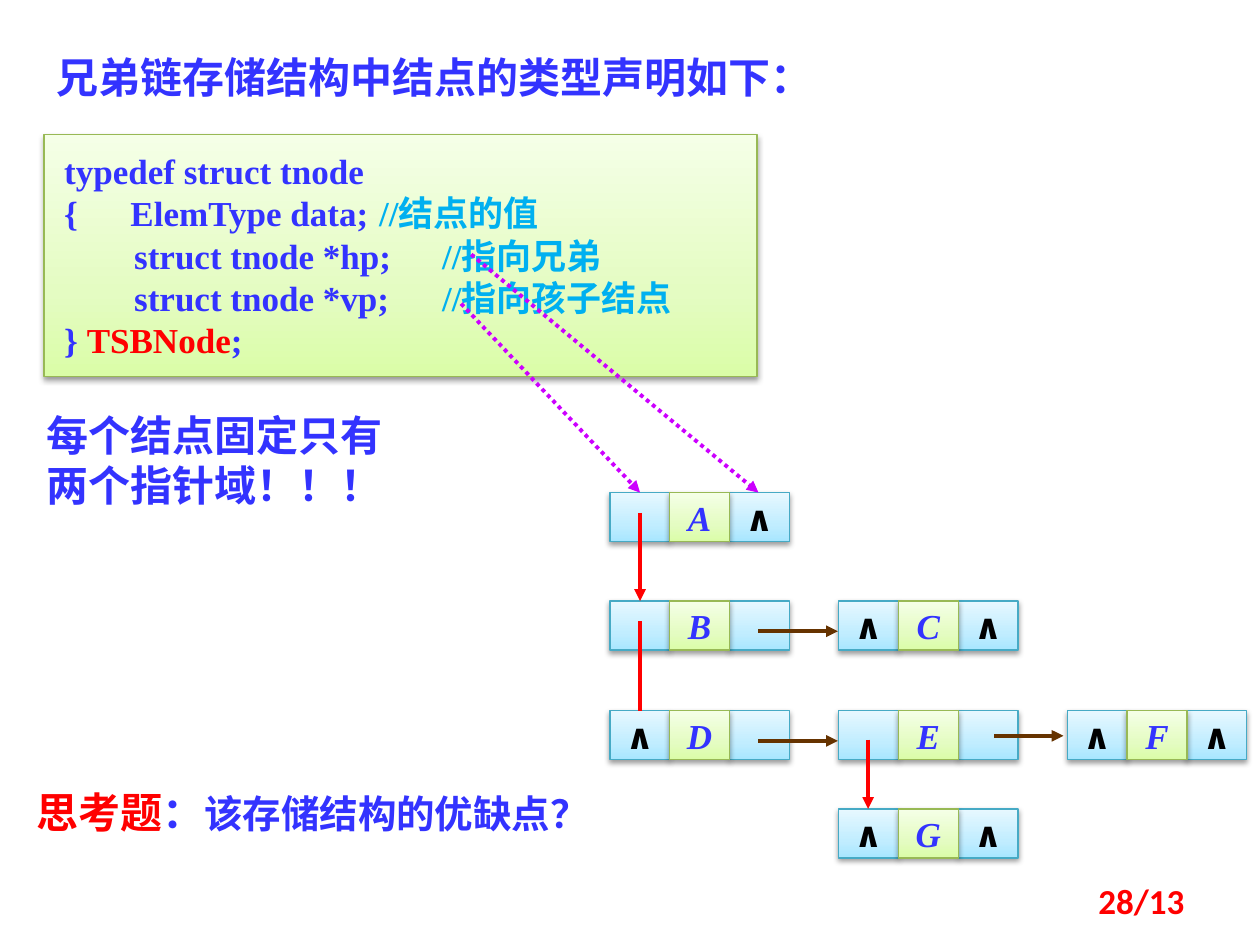
from lxml.etree import SubElement
from pptx import Presentation
from pptx.dml.color import RGBColor
from pptx.enum.dml import MSO_LINE
from pptx.enum.shapes import MSO_CONNECTOR, MSO_SHAPE
from pptx.enum.text import MSO_ANCHOR, MSO_AUTO_SIZE, PP_ALIGN
from pptx.oxml import parse_xml
from pptx.oxml.ns import nsdecls, qn
from pptx.util import Inches, Pt

SERIF, SANS, CJK = "Times New Roman", "Calibri", "Noto Sans CJK SC"
BLUE, RED, SKY, BLACK = "3333FF", "FF0000", "00B0F0", "000000"
BROWN, VIOLET = "663300", "CC00FF"
GREEN_STYLE = (("DAFDA7", "E4FCC2", "F5FFE7"), "98B955")
AQUA_STYLE = (("A7E6FF", "C1EDFF", "E7F8FF"), "46AAC5")
CELL_W, CELL_H = 0.475, 0.39
NIL = "∧"


def rgb(value):
    return RGBColor.from_string(value)


def add_run(p, text, color=BLUE, size=20, font=SERIF, italic=False):
    r = p.add_run()
    r.text = text
    r.font.name = font
    r.font.size = Pt(size)
    r.font.bold = True
    r.font.italic = italic
    r.font.color.rgb = rgb(color)
    if font != SANS:
        SubElement(r._r.get_or_add_rPr(), qn("a:ea"), typeface=CJK)


def set_frame(sp, anchor=MSO_ANCHOR.TOP, wrap=True):
    tf = sp.text_frame
    tf.auto_size = MSO_AUTO_SIZE.NONE
    tf.word_wrap = wrap
    tf.vertical_anchor = anchor
    return tf


def add_text(s, box, runs, align=PP_ALIGN.LEFT, anchor=MSO_ANCHOR.TOP):
    sp = s.shapes.add_textbox(*map(Inches, box))
    p = set_frame(sp, anchor).paragraphs[0]
    p.alignment = align
    for run in runs:
        add_run(p, *run)


def add_title(s, box, text):
    sp = s.shapes.title
    sp.left, sp.top, sp.width, sp.height = map(Inches, box)
    p = set_frame(sp).paragraphs[0]
    p.alignment = PP_ALIGN.LEFT
    add_run(p, text, BLUE, 24)


def add_box(s, box, style):
    """Add a rectangle with an upward three-stop gradient and a soft shadow."""
    colors, edge = style
    sp = s.shapes.add_shape(MSO_SHAPE.RECTANGLE, *map(Inches, box))
    sp.fill.gradient()
    sp.fill.gradient_angle = 90
    stops = sp._element.spPr.find(".//" + qn("a:gsLst"))
    stops.clear()
    for pos, color in zip((0, 35, 100), colors):
        gs = SubElement(stops, qn("a:gs"), pos=str(pos * 1000))
        SubElement(gs, qn("a:srgbClr"), val=color)
    sp.line.color.rgb = rgb(edge)
    sp.line.width = Pt(0.75)
    sp.shadow.inherit = False
    sp._element.spPr.find(qn("a:effectLst")).append(parse_xml(
        f'<a:outerShdw {nsdecls("a")} blurRad="40000" dist="20000" dir="5400000" '
        'rotWithShape="0"><a:srgbClr val="000000"><a:alpha val="38000"/>'
        '</a:srgbClr></a:outerShdw>'))
    return sp


def add_code(s, box, lines):
    tf = set_frame(add_box(s, box, GREEN_STYLE))
    tf.margin_left = tf.margin_right = Inches(0.16)
    tf.margin_top = tf.margin_bottom = Inches(0.12)
    for i, line in enumerate(lines):
        p = tf.add_paragraph() if i else tf.paragraphs[0]
        p.alignment = PP_ALIGN.LEFT
        for run in line:
            add_run(p, *run)


def add_node(s, x, y, child, name, sibling):
    """Add a tree node: child pointer, data and sibling pointer cells."""
    cells = ((0, child, AQUA_STYLE, BLACK, SANS),
             (2, sibling, AQUA_STYLE, BLACK, SANS),
             (1, name, GREEN_STYLE, BLUE, SERIF))
    for col, text, style, color, font in cells:
        sp = add_box(s, (x + col * CELL_W, y, CELL_W, CELL_H), style)
        if text:
            p = set_frame(sp, MSO_ANCHOR.MIDDLE, wrap=False).paragraphs[0]
            p.alignment = PP_ALIGN.CENTER
            add_run(p, text, color, 20, font, font == SERIF)


def add_line(s, ends, color, arrow=True, dotted=False):
    cn = s.shapes.add_connector(MSO_CONNECTOR.STRAIGHT, *map(Inches, ends))
    cn.line.color.rgb = rgb(color)
    cn.line.width = Pt(2.25)
    if dotted:
        cn.line.dash_style = MSO_LINE.ROUND_DOT
    if arrow:
        SubElement(cn.line._get_or_add_ln(), qn("a:tailEnd"), type="triangle")
    SubElement(cn._element.spPr, qn("a:effectLst"))


def main():
    prs = Presentation()
    prs.slide_width, prs.slide_height = Inches(10), Inches(7.5)
    s = prs.slides.add_slide(prs.slide_layouts[5])

    add_title(s, (0.35, 0.36, 6.46, 0.5), "兄弟链存储结构中结点的类型声明如下：")
    add_code(s, (0.35, 1.07, 5.66, 1.92), [
        [("typedef struct tnode",)],
        [("{      ElemType data;\t",), ("//结点的值", SKY)],
        [("        struct tnode *hp;  \t",), ("//指向兄弟", SKY)],
        [("        struct tnode *vp;  \t",), ("//指向孩子结点", SKY)],
        [("} ",), ("TSBNode", RED), (";",)],
    ])
    add_text(s, (0.27, 3.2, 2.99, 0.91), [("每个结点固定只有两个指针域！！！", BLUE, 24)])
    add_text(s, (0.19, 6.19, 5.12, 0.5), [
        ("思考题", RED, 24, CJK), ("：", BLUE, 24, CJK),
        ("该存储结构的优缺点？", BLUE, 22)])

    cols = [4.84 + 1.815 * i for i in range(3)]
    rows = (3.91, 4.77, 5.64, 6.42)
    nodes = ((0, 0, "", "A", NIL),
             (0, 1, "", "B", ""), (1, 1, NIL, "C", NIL),
             (0, 2, NIL, "D", ""), (1, 2, "", "E", ""), (2, 2, NIL, "F", NIL),
             (1, 3, NIL, "G", NIL))
    for col, row, child, name, sibling in nodes:
        add_node(s, cols[col], rows[row], child, name, sibling)

    add_line(s, (5.08, 4.07, 5.08, rows[1]), RED)
    add_line(s, (5.08, 4.93, 5.08, rows[2]), RED, arrow=False)
    add_line(s, (6.89, 5.87, 6.89, rows[3]), RED)
    for x1, x2, y in ((6.02, 6.65, 5.01), (6.02, 6.65, 5.88), (7.89, 8.44, 5.84)):
        add_line(s, (x1, y, x2, y), BROWN)
    add_line(s, (3.66, 2.41, 5.08, rows[0]), VIOLET, dotted=True)
    add_line(s, (3.74, 2.02, 6.02, rows[0]), VIOLET, dotted=True)

    add_text(s, (7.17, 6.95, 2.33, 0.4), [("28/13", RED, 20, SANS)],
             PP_ALIGN.RIGHT, MSO_ANCHOR.MIDDLE)
    prs.save("out.pptx")


if __name__ == "__main__":
    main()
